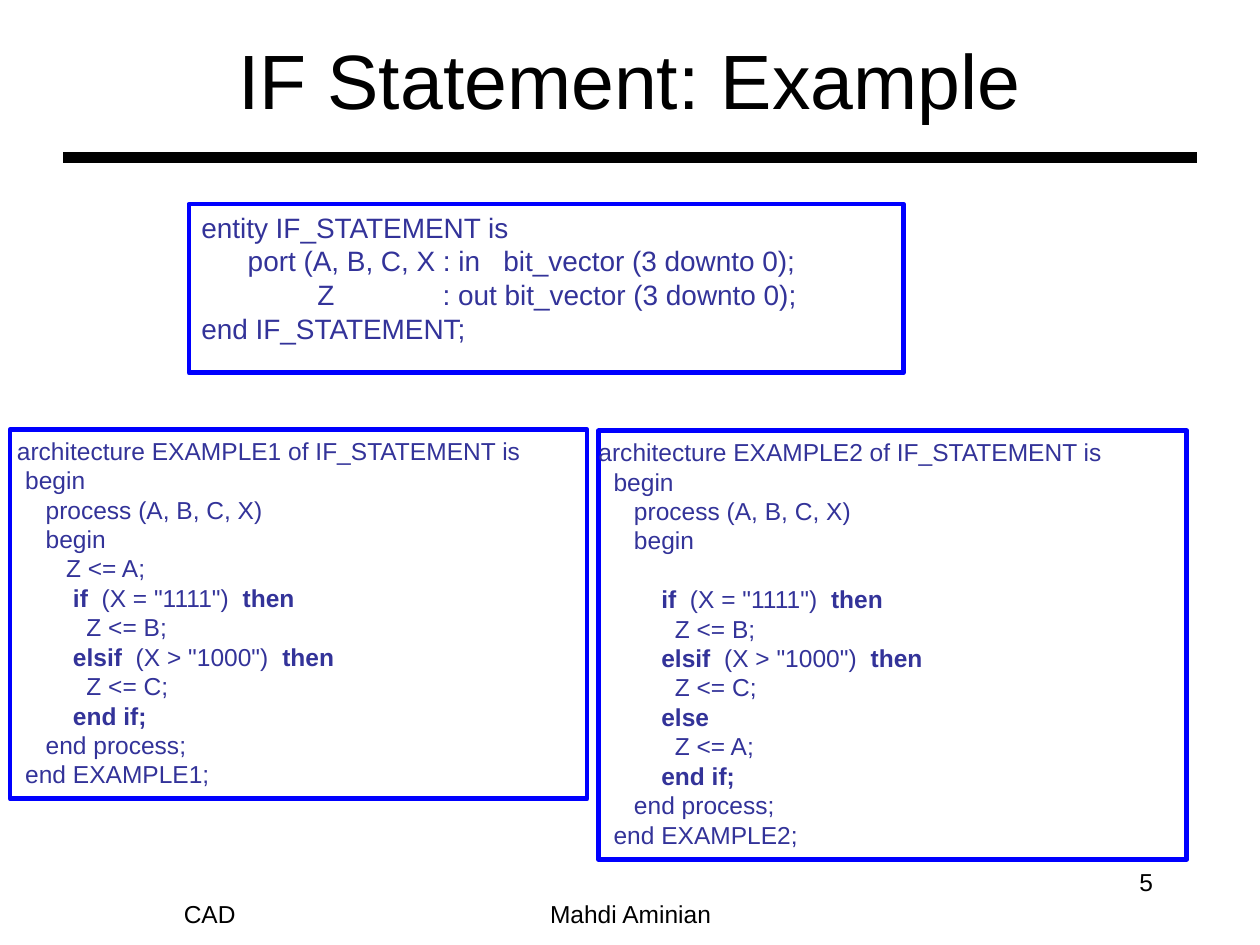
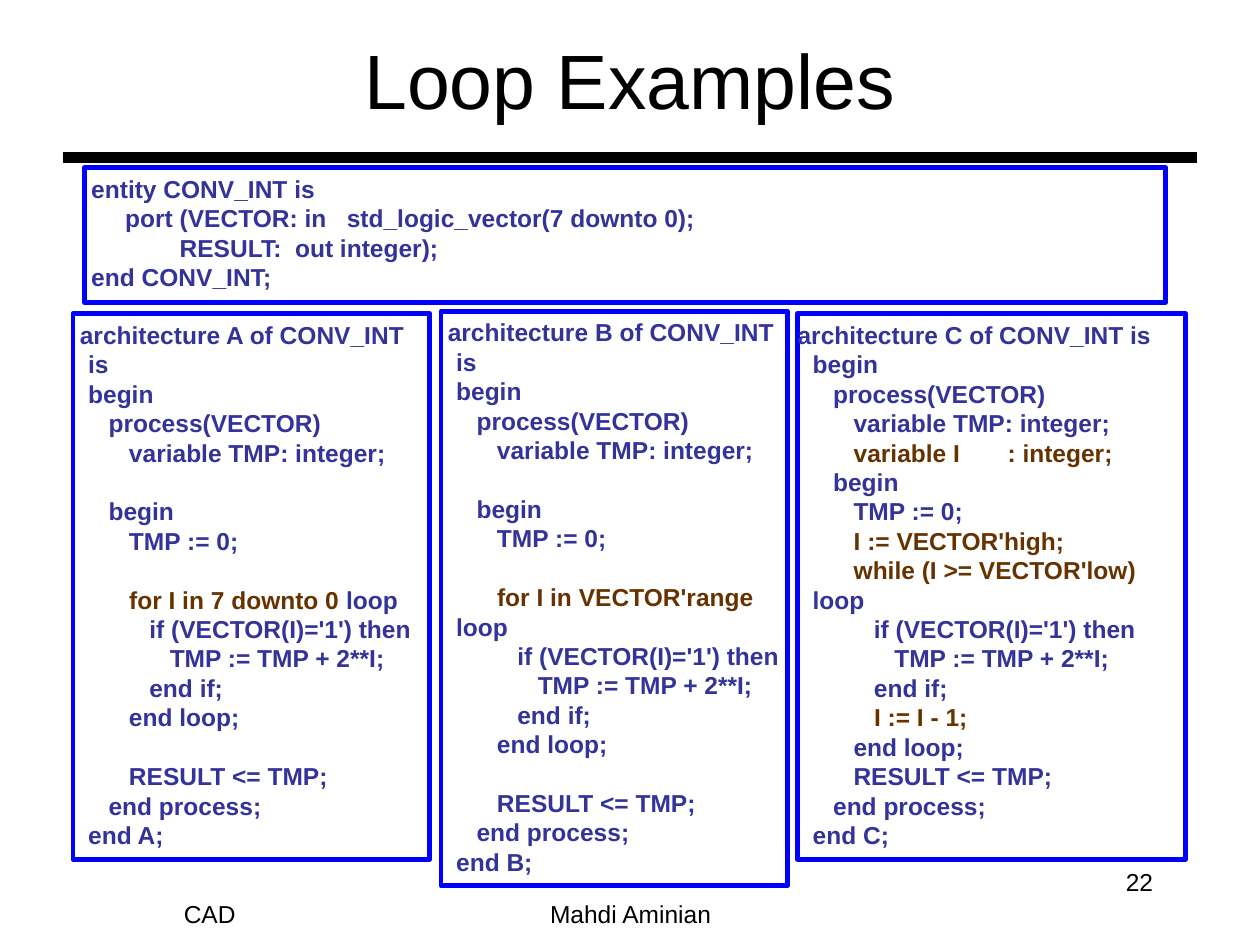
from pptx import Presentation
from pptx.dml.color import RGBColor
from pptx.enum.shapes import MSO_CONNECTOR, MSO_SHAPE
from pptx.enum.text import MSO_ANCHOR, PP_ALIGN
from pptx.oxml.ns import qn
from pptx.util import Inches, Pt
from lxml import etree

RECTANGLE = MSO_SHAPE.RECTANGLE
STRAIGHT = MSO_CONNECTOR.STRAIGHT
TOP, MIDDLE = MSO_ANCHOR.TOP, MSO_ANCHOR.MIDDLE
CENTER, RIGHT = PP_ALIGN.CENTER, PP_ALIGN.RIGHT

BLACK = RGBColor(0x00, 0x00, 0x00)
FRAME_BLUE = RGBColor(0x00, 0x00, 0xFF)
CODE_BLUE = RGBColor(0x33, 0x33, 0x99)
LOOP_BROWN = RGBColor(0x66, 0x33, 0x00)
FONT = "Arial"

# Code listings: bars enclose the highlighted parts
IF_ENTITY = """entity IF_STATEMENT is
      port (A, B, C, X : in   bit_vector (3 downto 0);
               Z              : out bit_vector (3 downto 0);
end IF_STATEMENT;"""

IF_EXAMPLE1 = """ architecture EXAMPLE1 of IF_STATEMENT is
begin
   process (A, B, C, X)
   begin
      Z <= A;
       |if|  (X = "1111")  |then|
         Z <= B;
       |elsif|  (X > "1000")  |then|
         Z <= C;
       |end if;|
   end process;
end EXAMPLE1;"""

IF_EXAMPLE2 = """architecture EXAMPLE2 of IF_STATEMENT is
begin
   process (A, B, C, X)
   begin

       |if|  (X = "1111")  |then|
         Z <= B;
       |elsif|  (X > "1000")  |then|
         Z <= C;
       |else|
         Z <= A;
       |end if;|
   end process;
end EXAMPLE2;"""

LOOP_ENTITY = """ entity CONV_INT is
      port (VECTOR: in   std_logic_vector(7 downto 0);
              RESULT:  out integer);
 end CONV_INT;"""

FOR_LOOP = """ architecture {name} of CONV_INT is
begin
   process(VECTOR)
      variable TMP: integer;

   begin
      TMP := 0;

      |for I in {bounds}| loop
         if (VECTOR(I)='1') then
            TMP := TMP + 2**I;
         end if;
      end loop;

      RESULT <= TMP;
   end process;
end {name};"""

WHILE_LOOP = """architecture C of CONV_INT is
begin
   process(VECTOR)
      variable TMP: integer;
      |variable I       : integer;|
   begin
      TMP := 0;
      |I := VECTOR'high;|
      |while (I >= VECTOR'low)| loop
         if (VECTOR(I)='1') then
            TMP := TMP + 2**I;
         end if;
         |I := I - 1;|
      end loop;
      RESULT <= TMP;
   end process;
end C;"""

# Per listing: code, (left, top, width, height), size, side inset, hanging indent
IF_LISTINGS = [
    (IF_ENTITY, (1.5, 1.62, 5.67, 1.34), 16, 0.1, 0),
    (IF_EXAMPLE1, (0.08, 3.41, 4.58, 2.93), 14, 0, 0.12),
    (IF_EXAMPLE2, (4.75, 3.42, 4.67, 3.4), 14, 0, 0.12),
]
LOOP_LISTINGS = [
    (LOOP_ENTITY, (0.67, 1.33, 8.58, 1.07), 14, 0, 0),
    (FOR_LOOP.format(name="A", bounds="7 downto 0"), (0.58, 2.49, 2.83, 4.33), 14, 0, 0.12),
    (FOR_LOOP.format(name="B", bounds="VECTOR'range"), (3.5, 2.47, 2.75, 4.56), 14, 0, 0.12),
    (WHILE_LOOP, (6.33, 2.49, 3.08, 4.33), 14, 0, 0.12),
]
# Title, slide number, whether all code is bold, listings
SLIDES = [
    ("IF Statement: Example", "5", False, IF_LISTINGS),
    ("Loop Examples", "22", True, LOOP_LISTINGS),
]


def style(paragraph, size, color, bold=False):
    paragraph.font.name = FONT
    paragraph.font.size = Pt(size)
    paragraph.font.color.rgb = color
    paragraph.font.bold = bold


def add_listing(slide, code, box, size, inset, hanging, all_bold):
    frame = slide.shapes.add_shape(RECTANGLE, *map(Inches, box))
    frame.shadow.inherit = False
    frame.fill.background()
    frame.line.color.rgb = FRAME_BLUE
    frame.line.width = Pt(2.75)
    text = frame.text_frame
    text.word_wrap = True
    text.vertical_anchor = TOP
    text.margin_left = text.margin_right = Inches(inset)
    paragraph = text.paragraphs[0]
    paragraph.alignment = PP_ALIGN.LEFT
    properties = paragraph._p.get_or_add_pPr()
    properties.set("marL", str(Inches(hanging)))
    properties.set("indent", str(-Inches(hanging)))
    style(paragraph, size, CODE_BLUE, all_bold)
    for number, line in enumerate(code.split("\n")):
        if number:
            paragraph.add_line_break()
        for position, part in enumerate(line.split("|")):
            if not part:
                continue
            run = paragraph.add_run()
            run.text = part
            if position % 2:
                run.font.bold = True
                if all_bold:
                    run.font.color.rgb = LOOP_BROWN


prs = Presentation()
prs.slide_width, prs.slide_height = Inches(10), Inches(7.5)

for heading, page, all_bold, listings in SLIDES:
    slide = prs.slides.add_slide(prs.slide_layouts[5])

    # Title and the rule below it
    title = slide.shapes.title
    title.left, title.top = Inches(0.75), Inches(0)
    title.width, title.height = Inches(8.5), Inches(1.25)
    title.text_frame.text = heading
    title.text_frame.vertical_anchor = MIDDLE
    title.text_frame.paragraphs[0].alignment = CENTER
    style(title.text_frame.paragraphs[0], 44, BLACK)
    rule = slide.shapes.add_connector(
        STRAIGHT, Inches(0.5), Inches(1.25), Inches(9.5), Inches(1.25))
    rule.line.color.rgb = BLACK
    rule.line.width = Pt(6)
    etree.SubElement(rule._element.spPr, qn("a:effectLst"))

    # Footer: course, author, slide number
    for words, left, top, width, anchor, alignment in [
        ("CAD", 0.08, 7, 3.17, MIDDLE, CENTER),
        ("Mahdi Aminian", 3.42, 7, 3.17, MIDDLE, CENTER),
        (page, 8.58, 6.83, 0.67, TOP, RIGHT),
    ]:
        footer = slide.shapes.add_textbox(
            Inches(left), Inches(top), Inches(width), Inches(0.5)).text_frame
        footer.word_wrap = True
        footer.vertical_anchor = anchor
        footer.text = words
        footer.paragraphs[0].alignment = alignment
        style(footer.paragraphs[0], 14, BLACK)

    # Code listings
    for code, box, size, inset, hanging in listings:
        add_listing(slide, code, box, size, inset, hanging, all_bold)

prs.save("out.pptx")
